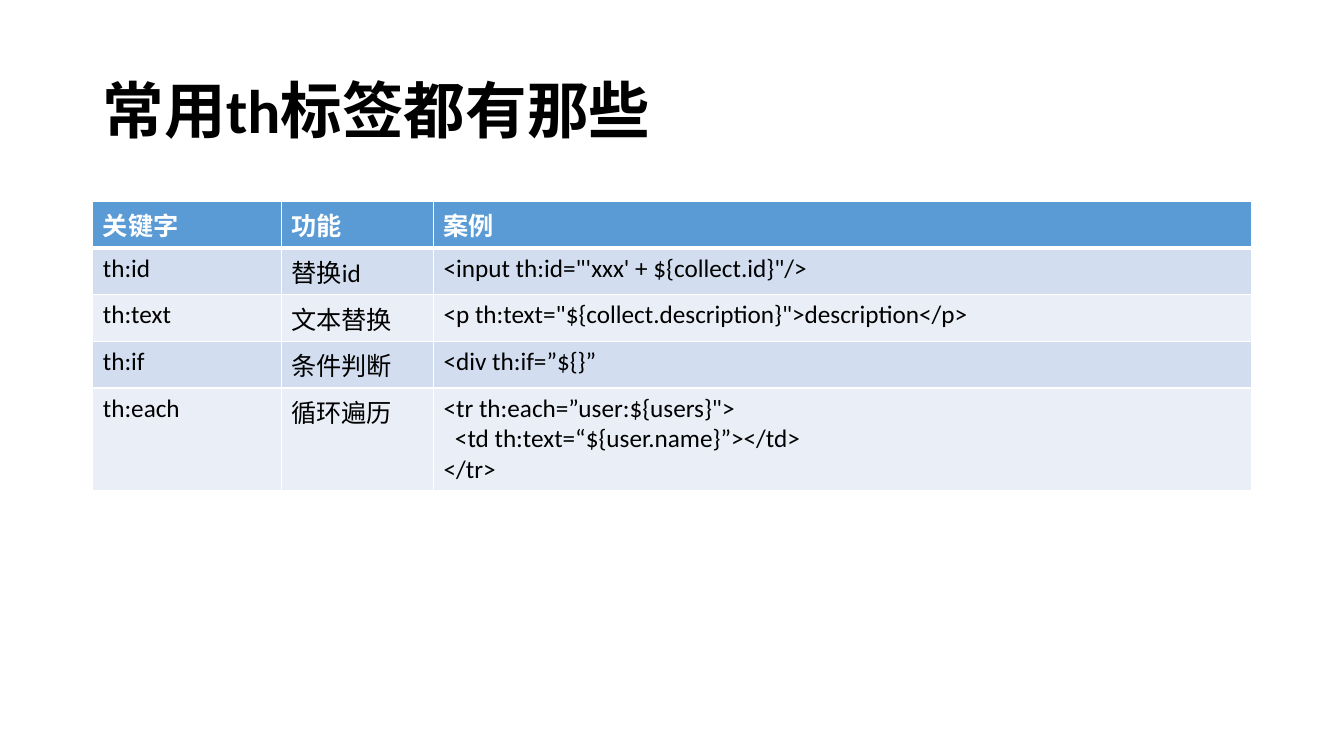
from lxml import etree
from pptx import Presentation
from pptx.dml.color import RGBColor
from pptx.enum.text import MSO_ANCHOR, MSO_AUTO_SIZE, PP_ALIGN
from pptx.oxml.ns import qn
from pptx.util import Emu, Pt

MIDDLE = MSO_ANCHOR.MIDDLE
LEFT = PP_ALIGN.LEFT
NO_AUTOFIT = MSO_AUTO_SIZE.NONE

PX = 9144  # EMU per px, 100 px to the inch
FONT = "Calibri"
TITLE_LAYOUT = 5

BLACK = RGBColor(0x00, 0x00, 0x00)
WHITE = RGBColor(0xFF, 0xFF, 0xFF)
HEADER_BLUE = RGBColor(0x5B, 0x9B, 0xD5)
BANDS = (RGBColor(0xD2, 0xDE, 0xEF), RGBColor(0xEA, 0xEF, 0xF7))

TAGS = [
    ("关键字", "功能", "案例"),
    ("th:id", "替换id", "<input th:id=\"'xxx' + ${collect.id}\"/>"),
    ("th:text", "文本替换", '<p th:text="${collect.description}">description</p>'),
    ("th:if", "条件判断", "<div th:if=”${}”"),
    ("th:each", "循环遍历",
     '<tr th:each=”user:${users}">\n  <td th:text=“${user.name}”></td>\n</tr>'),
]


class TagSlide:
    def __init__(self, deck):
        self.slide = deck.slides.add_slide(deck.slide_layouts[TITLE_LAYOUT])

    def format_text(self, frame, size, color, bold):
        for paragraph in frame.paragraphs:
            paragraph.alignment = LEFT
            for run in paragraph.runs:
                run.font.name = FONT
                run.font.size = Pt(size)
                run.font.color.rgb = color
                run.font.bold = bold

    def title(self, text, left, top, width, height):
        heading = self.slide.shapes.title
        heading.left, heading.top = Emu(left * PX), Emu(top * PX)
        heading.width, heading.height = Emu(width * PX), Emu(height * PX)
        frame = heading.text_frame
        frame.text = text
        frame.auto_size = NO_AUTOFIT
        frame.vertical_anchor = MIDDLE
        frame.paragraphs[0].line_spacing = 0.9
        self.format_text(frame, 44, BLACK, True)

    def borders(self, cell, top, bottom):
        properties = cell._tc.get_or_add_tcPr()
        for edge, points in (("lnL", 1), ("lnR", 1), ("lnT", top), ("lnB", bottom)):
            line = etree.SubElement(properties, qn(f"a:{edge}"), w=str(Pt(points)))
            fill = etree.SubElement(line, qn("a:solidFill"))
            etree.SubElement(fill, qn("a:srgbClr"), val=str(WHITE))

    def table(self, rows, left, top, column_widths, row_height):
        grid = self.slide.shapes.add_table(
            len(rows), len(column_widths), Emu(left * PX), Emu(top * PX),
            Emu(sum(column_widths) * PX), Emu(len(rows) * row_height * PX)).table
        for column, width in zip(grid.columns, column_widths):
            column.width = Emu(width * PX)
        for index, texts in enumerate(rows):
            header = index == 0
            for column, text in enumerate(texts):
                cell = grid.cell(index, column)
                cell.text_frame.text = text
                self.format_text(cell.text_frame, 18, WHITE if header else BLACK, header)
                # Borders come before the fill in the cell properties
                self.borders(cell, 3 if index == 1 else 1, 3 if header else 1)
                cell.fill.solid()
                cell.fill.fore_color.rgb = HEADER_BLUE if header else BANDS[(index - 1) % 2]


def main():
    deck = Presentation()
    deck.slide_width, deck.slide_height = Emu(1333 * PX), Emu(750 * PX)
    page = TagSlide(deck)

    # Heading
    page.title("常用th标签都有那些", 92, 40, 1150, 145)

    # Tag reference table
    page.table(TAGS, 92, 200, (187, 151, 811), 41)

    deck.save("out.pptx")


if __name__ == "__main__":
    main()
